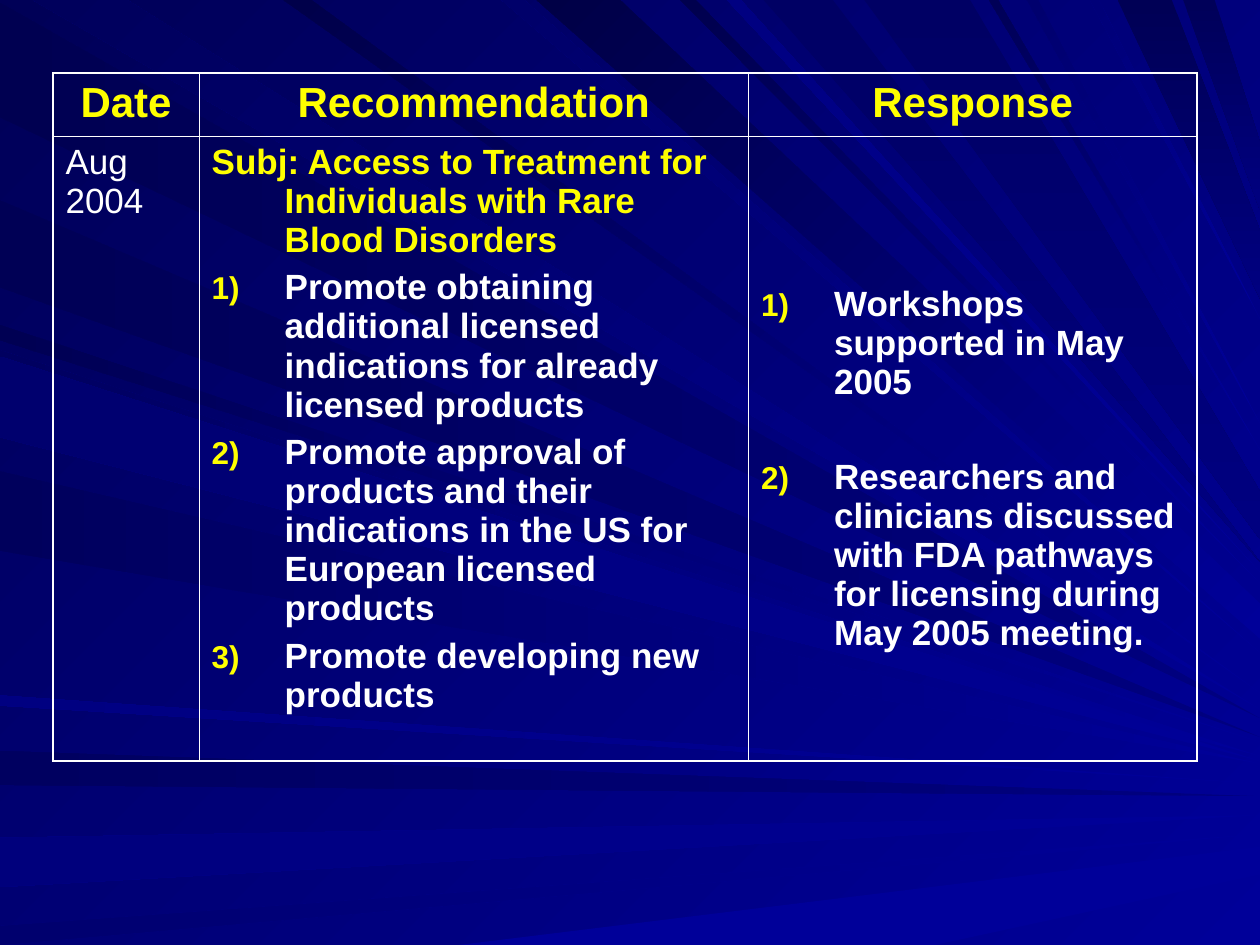
from lxml import etree
from pptx import Presentation
from pptx.dml.color import RGBColor
from pptx.enum.text import PP_ALIGN
from pptx.oxml.ns import qn
from pptx.util import Inches, Pt

LEFT, CENTER = PP_ALIGN.LEFT, PP_ALIGN.CENTER
WHITE, YELLOW = "FFFFFF", "FFFF00"
BLUE, NAVY = "000099", "000080"
WIDE, HIGH = 10, 7.5
THIN, THICK = 0.45, 1.08
HANG = 0.58

HEAD = {"size": Pt(24), "bold": True, "name": "Arial"}
BODY = {"size": Pt(20), "bold": True, "name": "Arial"}
PLAIN = {**BODY, "bold": False}

ANGLES = {"left": 180, "top": 225, "base": 180}

RAYS = [
    ("left", 0.02, 0.93, 5.7, NAVY, "000051"),
    ("top", 0.26, 1.01, 5.63, BLUE, "00005C"),
    ("left", 5.96, 6.23, 6.32, NAVY, "000060"),
    ("left", 6.65, 7.04, 6.47, BLUE, "00007C"),
    ("left", 7.35, 7.5, 6.62, BLUE, "00006E"),
    ("base", 3.64, 7.42, 6.83, BLUE, BLUE, 0.22),
    ("left", 2.58, 2.7, 5.89, BLUE, "000053"),
    ("left", 1.59, 2.28, 5.85, NAVY, "000055"),
    ("top", 3.98, 4.16, 5.18, BLUE, "00006A"),
    ("top", 4.26, 4.92, 4.93, BLUE, "000046", 0.28),
    ("top", 5.4, 5.52, 4.63, BLUE, "00004E"),
    ("top", 6.06, 6.61, 4.46, NAVY, "000064"),
    ("top", 8.87, 9.3, 2.1, NAVY, "000055", 0.54),
    ("top", 9.39, 9.64, 1.4, NAVY, "000059", 0.54),
    ("left", 2.78, 3.42, 6, BLUE, "000060"),
    ("left", 3.74, 4.37, 6.06, BLUE, "00005C"),
    ("left", 5.52, 5.6, 6.22, BLUE, "000081"),
    ("top", 2.25, 2.47, 5.5, BLUE, "00004A"),
    ("top", 5.77, 5.88, 4.54, BLUE, "000081"),
    ("top", 6.86, 7.7, 4.09, NAVY, "000064", 0.38),
    ("top", 7.85, 7.92, 3.57, BLUE, "000057"),
    ("top", 8.15, 8.24, 3.36, BLUE, "00006E"),
    ("top", 8.65, 8.72, 2.53, BLUE, "000078"),
    ("left", 2.83, 3.47, 6.04, BLUE, "00006E"),
]

TITLES = ["Date", "Recommendation", "Response"]
SUBJECT = "Subj: Access to Treatment for Individuals with Rare Blood Disorders"
ADVICE = [
    "Promote obtaining additional licensed indications for already licensed products",
    "Promote approval of products and their indications in the US for European licensed products",
    "Promote developing new products",
]
REPLIES = [
    "Workshops supported in May 2005",
    "Researchers and clinicians discussed with FDA pathways for licensing during May 2005 meeting.",
]


def color(text):
    return RGBColor.from_string(text)


def paint(fill, start, end, angle):
    fill.gradient()
    fill.gradient_angle = 360 - angle
    for stop, tone in zip(fill.gradient_stops, (start, end)):
        stop.color.rgb = color(tone)


def add_ray(slide, edge, near, far, tip, start, end, spread=0):
    if edge == "left":
        root = [(0, far), (0, near)]
    else:
        level = HIGH if edge == "base" else 0
        root = [(near, level), (far, level)]
    ends = [(WIDE, tip - spread / 2), (WIDE, tip + spread / 2)]
    if edge == "base":
        ends.reverse()
    points = [(Inches(x), Inches(y)) for x, y in root + ends]
    pen = slide.shapes.build_freeform(*points[0])
    pen.add_line_segments(points[1:], close=True)
    ray = pen.convert_to_shape()
    ray.shadow.inherit = False
    ray.line.fill.background()
    vertical = edge == "top" and start == NAVY
    paint(ray.fill, *((end, start, 90) if vertical else (start, end, ANGLES[edge])))


def add_node(parent, tag, **attrs):
    node = etree.SubElement(parent, qn(tag))
    for key, value in attrs.items():
        node.set(key, str(value))
    return node


def write(cell, text, style, tone, align=LEFT, gap=5, hang=0, number=False):
    frame = cell.text_frame
    first = not frame.text
    para = frame.paragraphs[0] if first else frame.add_paragraph()
    para.alignment = align
    para.space_before = Pt(0 if first else gap)
    props = para._p.get_or_add_pPr()
    props.set("marL", str(Inches(hang)))
    props.set("indent", str(-Inches(hang)))
    if number:
        add_node(add_node(props, "a:buClr"), "a:srgbClr", val=YELLOW)
        add_node(props, "a:buSzPct", val=90000)
        add_node(props, "a:buFont", typeface="Arial")
        add_node(props, "a:buAutoNum", type="arabicParenR")
    run = para.add_run()
    run.text = text
    for key, value in style.items():
        setattr(run.font, key, value)
    run.font.color.rgb = color(tone)


def add_edges(cell, widths):
    props = cell._tc.get_or_add_tcPr()
    for side, width in zip("LRTB", widths):
        edge = add_node(props, f"a:ln{side}", w=Pt(width))
        add_node(add_node(edge, "a:solidFill"), "a:srgbClr", val=WHITE)


def add_grid(slide, left, top, cols, rows):
    frame = slide.shapes.add_table(
        len(rows), len(cols), Inches(left), Inches(top), Inches(sum(cols)), Inches(sum(rows)))
    table = frame.table
    table.first_row = table.horz_banding = False
    for col, width in zip(table.columns, cols):
        col.width = Inches(width)
    for row, height in zip(table.rows, rows):
        row.height = Inches(height)
    for r in range(len(rows)):
        for c in range(len(cols)):
            cell = table.cell(r, c)
            outer = (c == 0, c == len(cols) - 1, r == 0, r == len(rows) - 1)
            add_edges(cell, [THICK if edge else THIN for edge in outer])
            cell.fill.background()
    return table


def main():
    deck = Presentation()
    deck.slide_width, deck.slide_height = Inches(WIDE), Inches(HIGH)
    slide = deck.slides.add_slide(deck.slide_layouts[6])
    paint(slide.background.fill, BLUE, "000057", 225)
    for ray in RAYS:
        add_ray(slide, *ray)

    table = add_grid(slide, 0.42, 0.58, [1.16, 4.36, 3.56], [0.5, 4.96])
    for c, title in enumerate(TITLES):
        write(table.cell(0, c), title, HEAD, YELLOW, CENTER)
    date, advice, reply = [table.cell(1, c) for c in range(3)]
    write(date, "Aug 2004", PLAIN, WHITE)
    write(advice, SUBJECT, BODY, YELLOW, hang=HANG)
    for text in ADVICE:
        write(advice, text, BODY, WHITE, hang=HANG, number=True)
    reply.margin_top = Inches(1.18)
    for text in REPLIES:
        write(reply, text, BODY, WHITE, gap=32, hang=HANG, number=True)
    deck.save("out.pptx")


if __name__ == "__main__":
    main()
